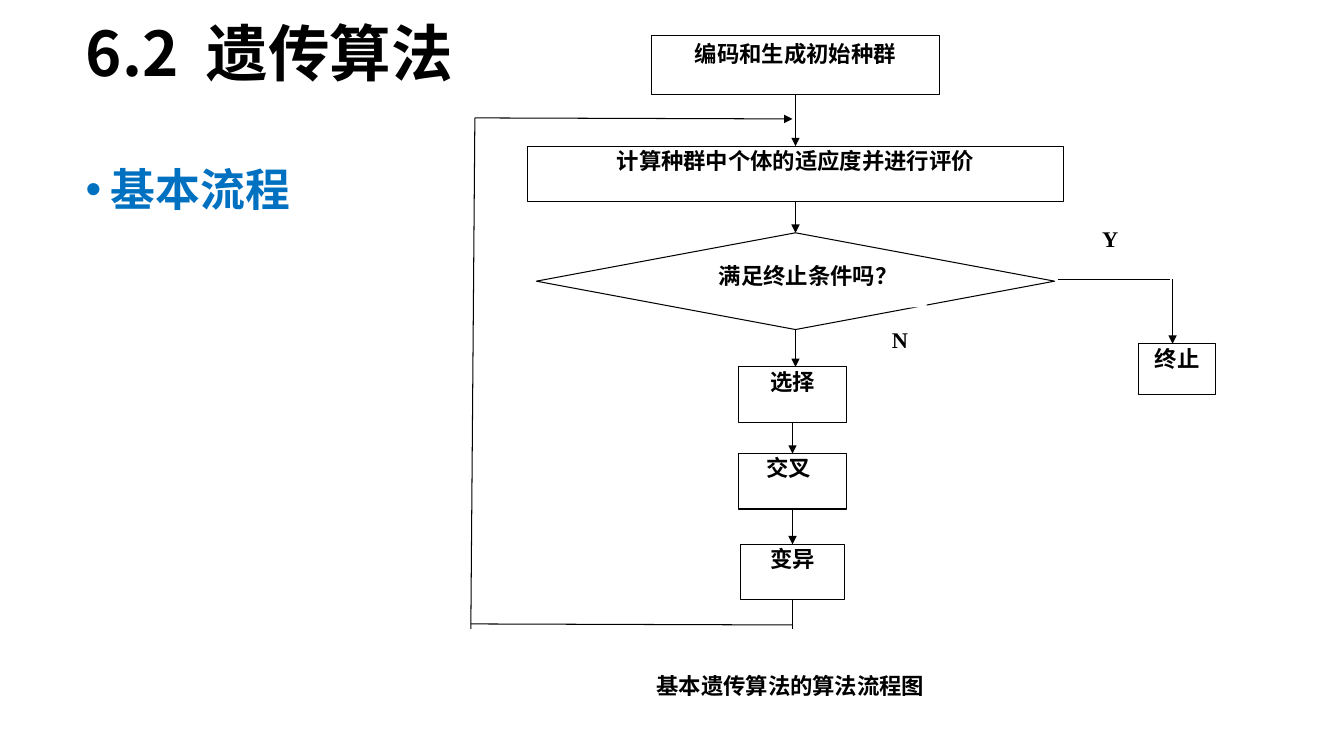
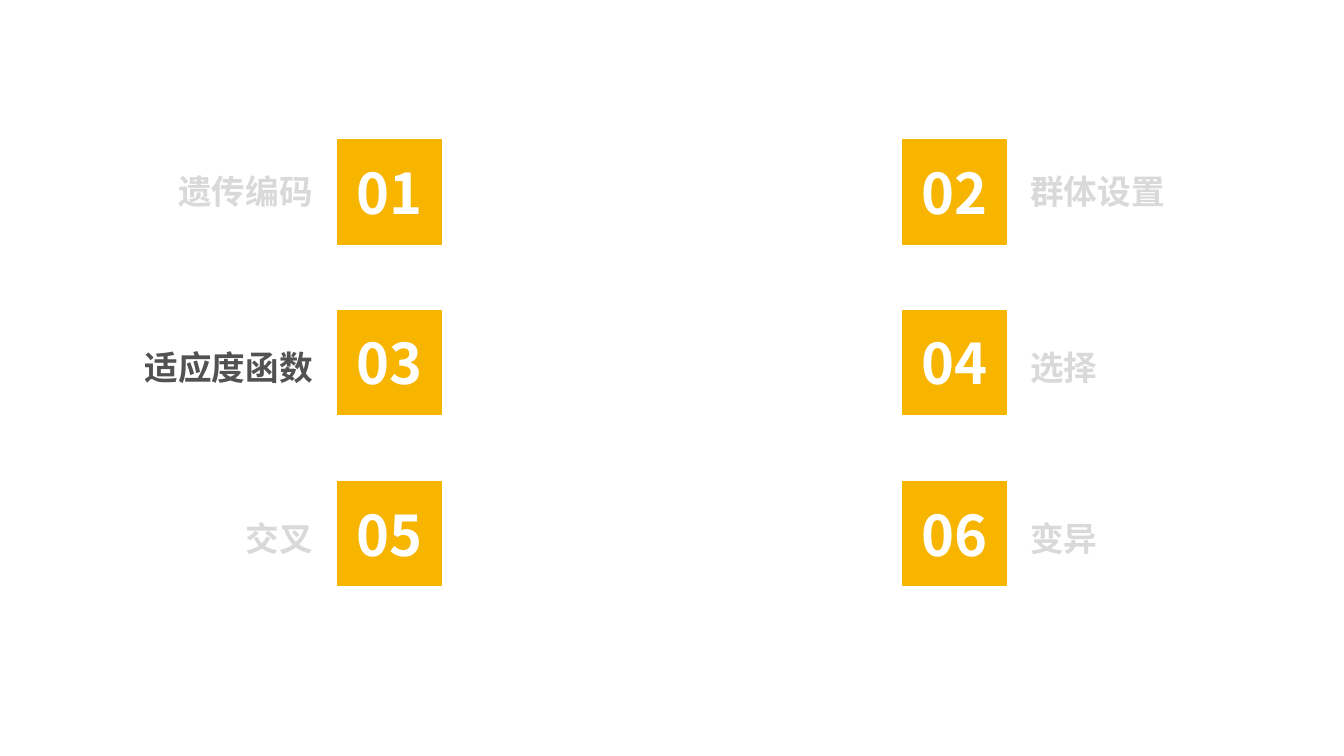
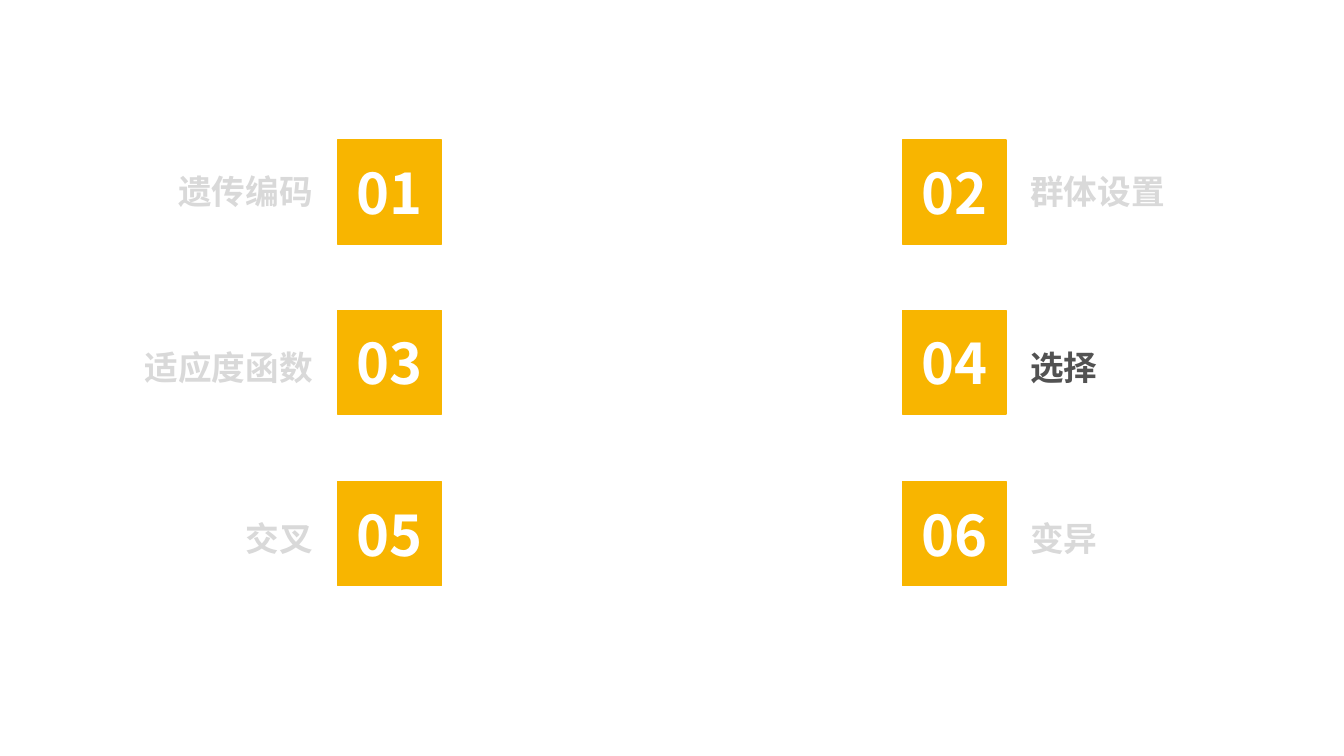
"""Three slides on genetic algorithms: a flowchart and two agenda pages."""
from lxml import etree
from pptx import Presentation
from pptx import util as u
from pptx.dml.color import RGBColor
from pptx.enum import shapes, text
from pptx.oxml.ns import qn

PX = 9144
SANS, SERIF = "Noto Sans CJK SC", "Times New Roman"
BLACK, WHITE, BLUE, AMBER = "000000", "FFFFFF", "0070C0", "F8B500"
ACTIVE, FADED = "525252", "D9D9D9"
LEFT, CENTER, RIGHT = text.PP_ALIGN.LEFT, text.PP_ALIGN.CENTER, text.PP_ALIGN.RIGHT
TOP, MIDDLE = text.MSO_ANCHOR.TOP, text.MSO_ANCHOR.MIDDLE
RECT, DIAMOND = shapes.MSO_SHAPE.RECTANGLE, shapes.MSO_SHAPE.DIAMOND

TITLE = ("6.2", " ", "遗传算法")
SUBTITLE = "基本流程"

WIDE, SLIM, SNUG = (10, 5, 10, 5), (6, 1, 6, 1), (2, 1, 2, 1)
BOXES = {
    "start": ("编码和生成初始种群", (646, 35, 286, 59), BLACK, WIDE),
    "evaluate": ("计算种群中个体的适应度并进行评价", (523, 145, 532, 55), BLACK, SLIM),
    "decision": ("", (532, 231, 514, 96), BLACK, SNUG),
    "condition": ("满足终止条件吗？", (684, 259, 235, 46), None, SNUG),
    "stop": ("终止", (1129, 341, 77, 50), BLACK, SNUG),
    "yes": ("Y", (1067, 222, 68, 46), None, SNUG),
    "no": ("N", (857, 323, 71, 50), None, SNUG),
    "select": ("选择", (732, 364, 108, 55), BLACK, (10, 1, 10, 1)),
    "cross": ("交叉", (732, 450, 108, 55), BLACK, (2, 1, 10, 1)),
    "mutate": ("变异", (734, 540, 104, 55), BLACK, SNUG),
    "caption": ("基本遗传算法的算法流程图", (543, 662, 482, 59), None, WIDE),
}
LINES = [
    (("start", 2), ("evaluate", 0), True),
    (("evaluate", 2), ("decision", 0), True),
    (("decision", 2), (789, 364), True),
    (("select", 2), ("cross", 0), True),
    (("cross", 2), ("mutate", 0), True),
    ((1049, 277), (1160, 277), False),
    ((1163, 277), (1163, 341), True),
    (("mutate", 2), (786, 624), False),
    ((786, 620), (467, 619), False),
    ((467, 624), (471, 117), False),
    ((471, 117), (786, 118), True),
]

TOPICS = ["遗传编码", "群体设置", "适应度函数", "选择", "交叉", "变异"]
COLUMNS = [(335, 21, RIGHT), (895, 1012, LEFT)]
ROWS = [(139, 165), (308, 339), (478, 509)]
TILE = 103


def px(*lengths):
    return [u.Emu(length * PX) for length in lengths]


def color(code):
    return RGBColor.from_string(code)


def style(para, size, code, align=LEFT, face=SANS):
    para.alignment = align
    font = para.font
    font.size, font.bold, font.name = u.Pt(size), True, face
    font.color.rgb = color(code)
    etree.SubElement(para._p.pPr.find(qn("a:defRPr")), qn("a:ea"), typeface=SANS)


def add_text(page, words, place, size, code, align=LEFT):
    box = page.shapes.add_textbox(*px(*place))
    box.text_frame.word_wrap = True
    para = box.text_frame.paragraphs[0]
    para.add_run().text = words
    style(para, size, code, align)
    return box


def add_box(page, kind, place, fill, line, width):
    box = page.shapes.add_shape(kind, *px(*place))
    box.shadow.inherit = False
    box.fill.solid()
    box.fill.fore_color.rgb = color(fill)
    if line:
        box.line.color.rgb = color(line)
        box.line.width = u.Pt(width)
    else:
        box.line.fill.background()
    return box


def fill_box(box, words, size, code, face, anchor, insets=WIDE):
    frame = box.text_frame
    frame.vertical_anchor = anchor
    frame.margin_left, frame.margin_top, frame.margin_right, frame.margin_bottom = px(*insets)
    para = frame.paragraphs[0]
    para.add_run().text = words
    style(para, size, code, CENTER, face)


def add_line(page, boxes, begin, end, arrow):
    points = [(0, 0) if isinstance(spot[0], str) else spot for spot in (begin, end)]
    line = page.shapes.add_connector(shapes.MSO_CONNECTOR.STRAIGHT, *px(*points[0], *points[1]))
    for spot, join in ((begin, line.begin_connect), (end, line.end_connect)):
        if isinstance(spot[0], str):
            join(boxes[spot[0]], spot[1])
    line.line.color.rgb = color(BLACK)
    line.line.width = u.Pt(0.75)
    if arrow:
        etree.SubElement(line.line._get_or_add_ln(), qn("a:tailEnd"), type="triangle")
    etree.SubElement(line._element.spPr, qn("a:effectLst"))


def add_title(page):
    title = page.shapes.title
    title.left, title.top, title.width, title.height = px(75, 18, 850, 108)
    frame = title.text_frame
    frame.vertical_anchor, frame.auto_size = TOP, text.MSO_AUTO_SIZE.NONE
    para = frame.paragraphs[0]
    for words in TITLE:
        span = para.add_run()
        span.text = words
        if words == " ":
            span._r.get_or_add_rPr().set("spc", "1000")
    para.line_spacing = 0.9
    style(para, 44, BLACK)


def add_subtitle(page):
    box = page.shapes.add_textbox(*px(75, 140, 1198, 593))
    box.text_frame.word_wrap = True
    para = box.text_frame.paragraphs[0]
    para.add_run().text = SUBTITLE
    props = para._p.get_or_add_pPr()
    props.set("marL", str(25 * PX))
    props.set("indent", str(-25 * PX))
    etree.SubElement(props, qn("a:buFont"), typeface="Arial")
    etree.SubElement(props, qn("a:buChar"), char="•")
    para.line_spacing = 1.3
    style(para, 32, BLUE)


def flowchart_page(deck):
    page = deck.slides.add_slide(deck.slide_layouts[5])
    add_title(page)
    add_subtitle(page)
    boxes = {}
    for name, (words, place, line, insets) in BOXES.items():
        kind = DIAMOND if name == "decision" else RECT
        boxes[name] = add_box(page, kind, place, WHITE, line, 0.75)
        if words:
            fill_box(boxes[name], words, 16, BLACK, SERIF, TOP, insets)
    for begin, end, arrow in LINES:
        add_line(page, boxes, begin, end, arrow)


def agenda_page(deck, current):
    page = deck.slides.add_slide(deck.slide_layouts[6])
    for index, topic in enumerate(TOPICS):
        tile_top, label_top = ROWS[index // 2]
        tile_left, label_left, align = COLUMNS[index % 2]
        tile = add_box(page, RECT, (tile_left, tile_top, TILE, TILE), AMBER, AMBER, 1)
        fill_box(tile, f"{index + 1:02}", 40, WHITE, SANS, MIDDLE)
        shade = ACTIVE if topic == current else FADED
        label = add_text(page, topic, (label_left, label_top, 299, 50), 24, shade, align)
        label.text_frame.auto_size = text.MSO_AUTO_SIZE.SHAPE_TO_FIT_TEXT


def main():
    deck = Presentation()
    deck.slide_width, deck.slide_height = px(1333, 750)
    flowchart_page(deck)
    for current in ("适应度函数", "选择"):
        agenda_page(deck, current)
    deck.save("out.pptx")


if __name__ == "__main__":
    main()
